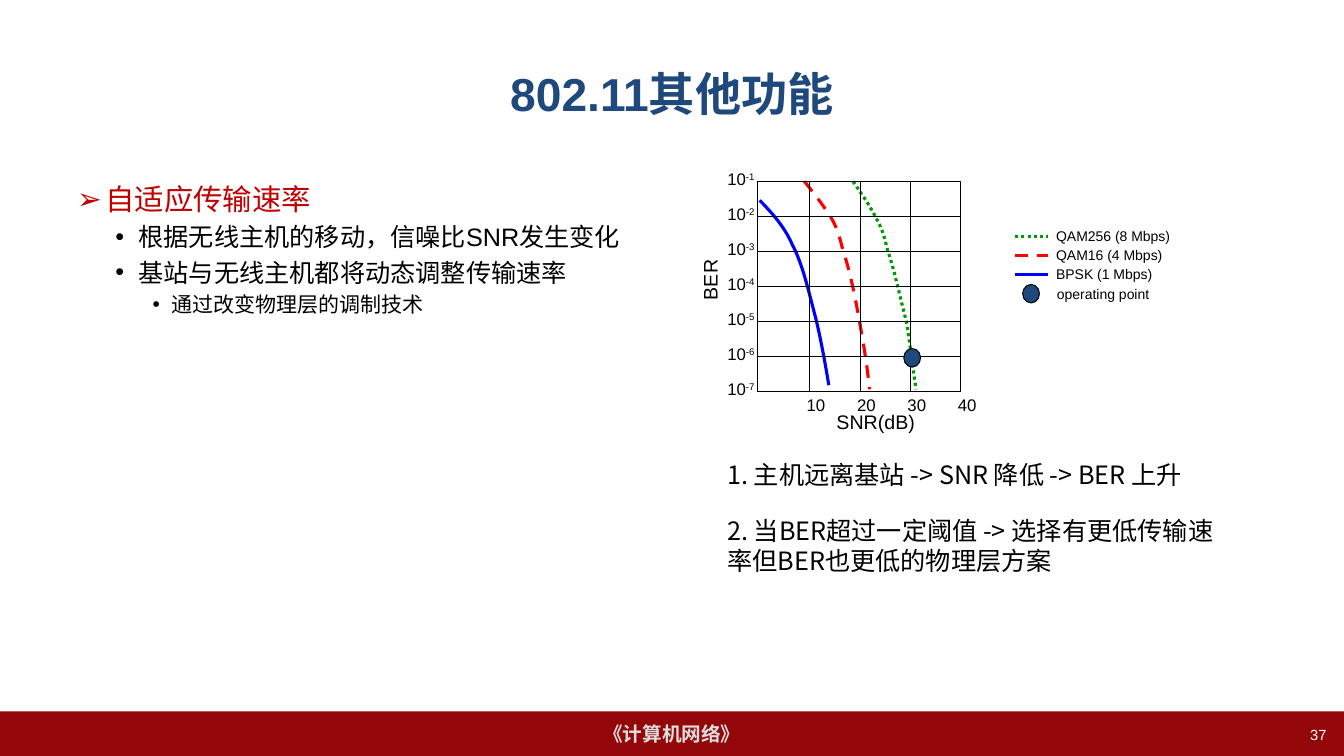
import pptx
import pptx.dml.color
import pptx.enum.dml
import pptx.enum.shapes
import pptx.enum.text
import pptx.oxml.ns
import pptx.util
from lxml import etree

COLUMNS, ROWS = 160, 90
CELL = pptx.util.Inches(7.5) / ROWS
LATIN, CHINESE = "Arial", "Noto Sans CJK SC"
ALIGN = pptx.enum.text.PP_ALIGN
ANCHOR = pptx.enum.text.MSO_ANCHOR
FIT = pptx.enum.text.MSO_AUTO_SIZE
DASH = pptx.enum.dml.MSO_LINE
SHAPE = pptx.enum.shapes.MSO_SHAPE
NAVY, BLACK = "1F497D", "000000"

# Modulation: label, colour, dash, Bézier points as shares of the plot
MODULATIONS = [
    ("QAM256 (8 Mbps)", "009900", DASH.ROUND_DOT,
     [(.47, 0), (.51, .06), (.55, .11), (.58, .17), (.61, .22), (.62, .25), (.64, .33),
      (.67, .41), (.7, .55), (.73, .66), (.75, .77), (.77, .94), (.78, .99)]),
    ("QAM16 (4 Mbps)", "FF0000", DASH.DASH,
     [(.23, 0), (.28, .06), (.32, .11), (.36, .17), (.39, .22), (.4, .25), (.42, .33),
      (.45, .41), (.48, .55), (.5, .66), (.52, .77), (.54, .88), (.55, .99)]),
    ("BPSK (1 Mbps)", "0000FF", DASH.SOLID,
     [(.01, .09), (.06, .14), (.13, .21), (.17, .3), (.22, .39), (.25, .52), (.28, .63),
      (.31, .74), (.34, .91), (.35, .97)]),
]
OPERATING_POINT = (.76, .84)


def cells(*lengths):
    """Turn grid cells into EMU."""
    return [round(length * CELL) for length in lengths]


def rgb(code):
    return pptx.dml.color.RGBColor.from_string(code)


def assign(target, **values):
    for key, value in values.items():
        setattr(target, key, value)


def sub(parent, tag, **attributes):
    return etree.SubElement(parent, pptx.oxml.ns.qn(tag), **attributes)


def add_run(paragraph, words, size, color=BLACK, face=LATIN, bold=False):
    run = paragraph.add_run()
    run.text = words
    assign(run.font, name=face, size=pptx.util.Pt(size), bold=bold)
    run.font.color.rgb = rgb(color)
    properties = run._r.get_or_add_rPr()
    sub(properties, "a:ea", typeface=CHINESE)
    return properties


def add_text(slide, box, words="", size=18, align=ALIGN.LEFT, anchor=ANCHOR.TOP,
             wrap=False, **look):
    area = slide.shapes.add_textbox(*cells(*box))
    assign(area.text_frame, word_wrap=wrap, vertical_anchor=anchor,
           auto_size=FIT.NONE if wrap else FIT.SHAPE_TO_FIT_TEXT)
    first = area.text_frame.paragraphs[0]
    first.alignment = align
    if words:
        add_run(first, words, size, **look)
    return area


def set_stroke(line, color, width, dash=DASH.SOLID):
    line.color.rgb = rgb(color)
    assign(line, width=pptx.util.Pt(width), dash_style=dash)


def add_line(slide, start, end, color=BLACK, width=.75, dash=DASH.SOLID):
    line = slide.shapes.add_connector(
        pptx.enum.shapes.MSO_CONNECTOR.STRAIGHT, *cells(*start, *end))
    set_stroke(line.line, color, width, dash)
    sub(line._element.spPr, "a:effectLst")
    return line


def add_marker(slide, x, y):
    """Draw the operating point centred at x, y."""
    marker = slide.shapes.add_shape(SHAPE.OVAL, *cells(x - 1, y - 1.1, 2, 2.2))
    marker.shadow.inherit = False
    marker.fill.solid()
    marker.fill.fore_color.rgb = rgb(NAVY)
    set_stroke(marker.line, BLACK, .75)


def bend(curve):
    """Turn each three straight segments of an outline into one cubic Bézier."""
    outline = next(curve._element.iter(pptx.oxml.ns.qn("a:path")))
    segments = outline.findall(pptx.oxml.ns.qn("a:lnTo"))
    for first in range(0, len(segments), 3):
        cubic = sub(outline, "a:cubicBezTo")
        for segment in segments[first:first + 3]:
            cubic.append(segment[0])
            outline.remove(segment)


def add_curve(slide, box, points, color, dash):
    left, top, width, height = box
    track = [cells(left + x * width, top + y * height) for x, y in points]
    builder = slide.shapes.build_freeform(*track[0])
    builder.add_line_segments(track[1:], close=False)
    curve = builder.convert_to_shape()
    bend(curve)
    curve.shadow.inherit = False
    curve.fill.background()
    set_stroke(curve.line, color, 2.25, dash)


def add_ber_plot(slide, box):
    left, top, width, height = box
    right, bottom = left + width, top + height
    for _, color, dash, points in MODULATIONS:
        add_curve(slide, box, points, color, dash)
    frame = slide.shapes.add_shape(SHAPE.RECTANGLE, *cells(*box))
    frame.shadow.inherit = False
    frame.fill.background()
    set_stroke(frame.line, BLACK, .75)

    decades, column = 6, 6
    for decade in range(decades + 1):
        y = top + decade * height / decades
        if 0 < decade < decades:
            line = add_line(slide, (left, y), (right, y))
            if decade * 2 == decades:
                line.begin_connect(frame, 1)
                line.end_connect(frame, 3)
        tick = add_text(slide, (left - 4.8, y - 2.08, 5.76, 3.6), "10", 12)
        power = add_run(tick.text_frame.paragraphs[0], f"-{decade + 1}", 12)
        power.set("baseline", "30000")
    for tens in range(1, 5):
        x = right - (4 - tens) * column
        if tens < 4:
            add_line(slide, (x, top), (x, bottom))
        add_text(slide, (x - 1.55, bottom - .15, 4.7, 3.6), f"{tens}0", 12)

    add_text(slide, (left + 8.2, bottom + 1.6, 11.8, 4), "SNR(dB)", 14)
    add_text(slide, (left - 9.3, top + 9.7, 7.2, 4), "BER", 14).rotation = 270
    x, y = OPERATING_POINT
    add_marker(slide, left + x * width, top + y * height)


def add_legend(slide, box):
    left, top, width, height = box
    row = height / (len(MODULATIONS) + 1)
    for index, (label, color, dash, _) in enumerate(MODULATIONS):
        y = top + (index + .5) * row
        add_line(slide, (left, y), (left + 3.9, y), color, 2.25, dash)
        add_text(slide, (left + 3.7, y - 1.7, width - 3.7, 3.2), label, 10)
    y = top + height - row / 2
    add_marker(slide, left + 1.9, y)
    add_text(slide, (left + 3.8, y - 1.55, width - 3.8, 3.2), "operating point", 10)


def add_outline(slide, box):
    # Words, size, colour, face, bullet, indent and hanging in inches, space before
    items = [
        ("自适应传输速率", 21, "C00000", CHINESE, "➢", .28, .28, 0),
        ("根据无线主机的移动，信噪比SNR发生变化", 18, BLACK, LATIN, "•", .61, .23, 3.6),
        ("基站与无线主机都将动态调整传输速率", 18, BLACK, LATIN, "•", .61, .23, 3.6),
        ("通过改变物理层的调制技术", 15, BLACK, LATIN, "•", .94, .19, 3),
    ]
    frame = add_text(slide, box, wrap=True).text_frame
    for index, (words, size, color, face, bullet, indent, hanging, gap) in enumerate(items):
        paragraph = frame.add_paragraph() if index else frame.paragraphs[0]
        paragraph.space_before = pptx.util.Pt(gap)
        properties = paragraph._p.get_or_add_pPr()
        properties.set("marL", str(pptx.util.Inches(indent)))
        properties.set("indent", str(-pptx.util.Inches(hanging)))
        sub(properties, "a:buFont", typeface=LATIN)
        sub(properties, "a:buChar", char=bullet)
        add_run(paragraph, words, size, color, face)


def add_notes_on_rate(slide, box):
    left, top, width, height = box
    add_text(slide, (left, top, width + 6, 4.8), "1. 主机远离基站 -> SNR 降低 -> BER 上升",
             wrap=True, face=CHINESE)
    add_text(slide, (left, top + 6.65, width, height - 6.65),
             "2. 当BER超过一定阈值 -> 选择有更低传输速率但BER也更低的物理层方案",
             wrap=True, face=CHINESE)


def add_footer(slide, box):
    left, top, width, height = box
    band = slide.shapes.add_shape(SHAPE.RECTANGLE, *cells(*box))
    band.shadow.inherit = False
    band.fill.solid()
    band.fill.fore_color.rgb = rgb("940709")
    band.line.fill.background()
    assign(band.text_frame, word_wrap=False, vertical_anchor=ANCHOR.MIDDLE)
    course = band.text_frame.paragraphs[0]
    course.alignment = ALIGN.CENTER
    add_run(course, "《计算机网络》", 14, "DDDDDD", bold=True)
    add_text(slide, (left + width - 38.2, top + 1.1, 37.3, height - 1.1), "37", 10.5,
             ALIGN.RIGHT, wrap=True, color="FFFFFF")


def main():
    deck = pptx.Presentation()
    deck.slide_width, deck.slide_height = cells(COLUMNS, ROWS)
    slide = deck.slides.add_slide(deck.slide_layouts[6])
    add_footer(slide, (0, 84.7, COLUMNS, 5.3))
    add_text(slide, (8, 3.6, 144, 15), "802.11其他功能", 33, ALIGN.CENTER,
             ANCHOR.MIDDLE, wrap=True, color=NAVY, bold=True)
    add_outline(slide, (8, 21, 72.8, 59.4))
    add_ber_plot(slide, (90.2, 21.6, 24.2, 25))
    add_legend(slide, (120.85, 27, 19.7, 9.1))
    add_notes_on_rate(slide, (85.4, 54.1, 62.6, 15.2))
    deck.save("out.pptx")


if __name__ == "__main__":
    main()
